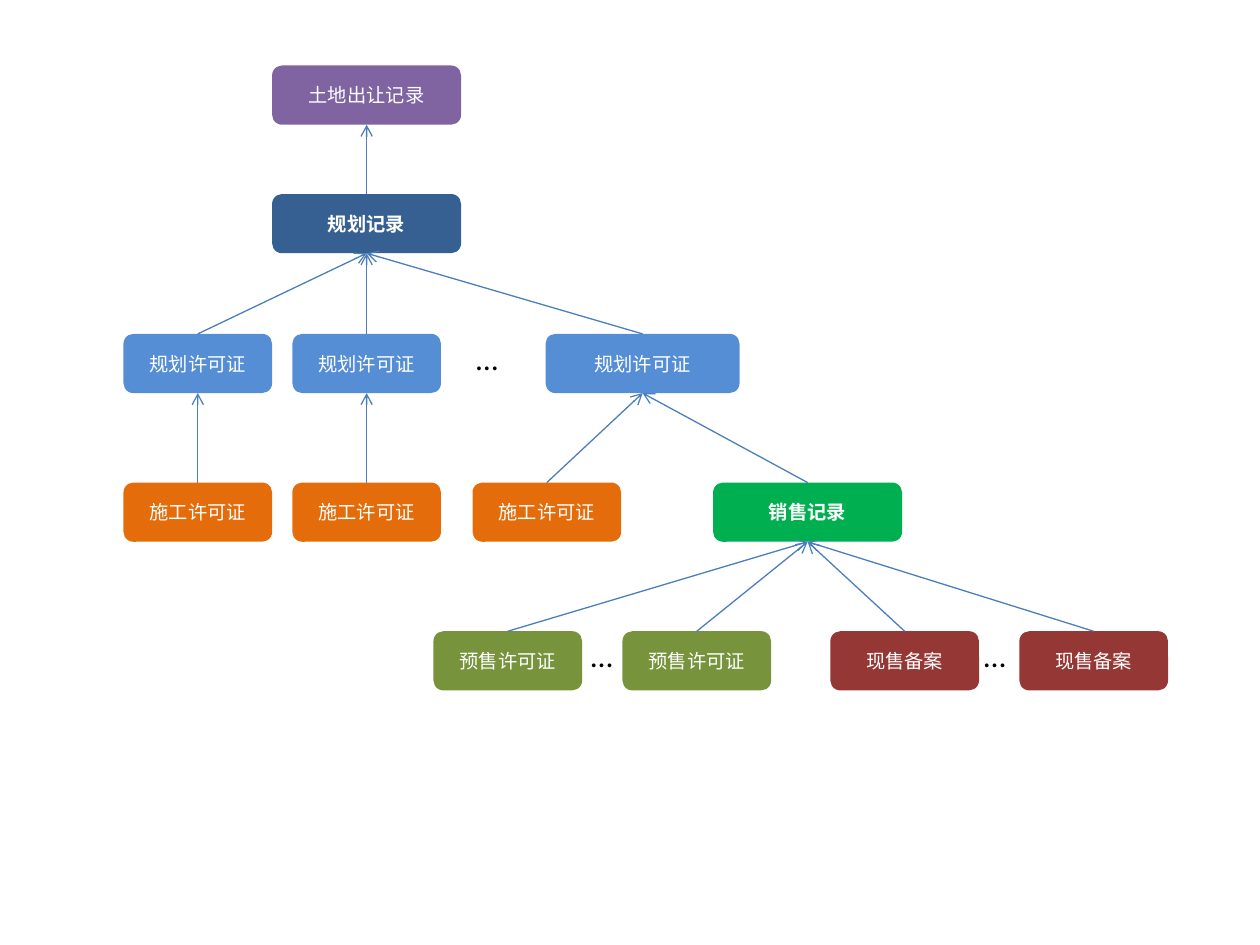
from lxml import etree
from pptx import Presentation
from pptx.dml.color import RGBColor
from pptx.enum.shapes import MSO_CONNECTOR, MSO_SHAPE
from pptx.enum.text import MSO_ANCHOR, MSO_AUTO_SIZE, PP_ALIGN
from pptx.oxml.ns import qn
from pptx.util import Inches, Pt

PURPLE = RGBColor(0x80, 0x64, 0xA2)
NAVY = RGBColor(0x37, 0x60, 0x92)
BLUE = RGBColor(0x55, 0x8E, 0xD5)
ORANGE = RGBColor(0xE4, 0x6C, 0x0A)
GREEN = RGBColor(0x00, 0xB0, 0x50)
OLIVE = RGBColor(0x77, 0x93, 0x3C)
RED = RGBColor(0x95, 0x37, 0x35)
LINE = RGBColor(0x4B, 0x7E, 0xBC)
WHITE = RGBColor(0xFF, 0xFF, 0xFF)
BLACK = RGBColor(0, 0, 0)

BOX_HEIGHT = 0.47
NARROW, WIDE = 1.18, 1.5
LAND_Y, PLAN_Y, PERMIT_Y, BUILD_Y, SALE_Y = 0.52, 1.54, 2.65, 3.83, 5.01
TOP_SITE, BOTTOM_SITE = 0, 2


class Diagram:
    box_font = "Noto Sans CJK SC"
    dots_font = "Calibri"

    def __init__(self, slide):
        self.slide = slide

    def style_run(self, run, font, size, color, bold=False):
        run.font.name = font
        run.font.size = Pt(size)
        run.font.color.rgb = color
        run.font.bold = bold

    def box(self, text, x, y, color, width=NARROW, parent=None, bold=False):
        """Add a rounded box and, if it has a parent, an arrow up to it."""
        shape = self.slide.shapes.add_shape(
            MSO_SHAPE.ROUNDED_RECTANGLE,
            Inches(x), Inches(y), Inches(width), Inches(BOX_HEIGHT))
        shape.shadow.inherit = False
        shape.fill.solid()
        shape.fill.fore_color.rgb = color
        shape.line.fill.background()
        frame = shape.text_frame
        frame.vertical_anchor = MSO_ANCHOR.MIDDLE
        paragraph = frame.paragraphs[0]
        paragraph.alignment = PP_ALIGN.CENTER
        run = paragraph.add_run()
        run.text = text
        self.style_run(run, self.box_font, 11, WHITE, bold)
        # Chinese text takes the East Asian typeface
        etree.SubElement(run.font._element, qn("a:ea"), typeface=self.box_font)
        if parent is not None:
            self.arrow(shape, parent)
        return shape

    def arrow(self, child, parent):
        link = self.slide.shapes.add_connector(MSO_CONNECTOR.STRAIGHT, 0, 0, 0, 0)
        link.begin_connect(child, TOP_SITE)
        link.end_connect(parent, BOTTOM_SITE)
        link.line.color.rgb = LINE
        link.line.width = Pt(0.75)
        etree.SubElement(link.line._get_or_add_ln(), qn("a:tailEnd"), type="arrow")
        etree.SubElement(link._element.spPr, qn("a:effectLst"))

    def dots(self, x, y):
        box = self.slide.shapes.add_textbox(
            Inches(x), Inches(y), Inches(0.38), Inches(0.4))
        box.text_frame.word_wrap = False
        box.text_frame.auto_size = MSO_AUTO_SIZE.SHAPE_TO_FIT_TEXT
        run = box.text_frame.paragraphs[0].add_run()
        run.text = "…"
        self.style_run(run, self.dots_font, 18, BLACK)


prs = Presentation()
prs.slide_width, prs.slide_height = Inches(10), Inches(7.5)
diagram = Diagram(prs.slides.add_slide(prs.slide_layouts[6]))

# Land and planning records
land = diagram.box("土地出让记录", 2.16, LAND_Y, PURPLE, WIDE)
plan = diagram.box("规划记录", 2.16, PLAN_Y, NAVY, WIDE, land, bold=True)

# Planning permits
permits = [diagram.box("规划许可证", x, PERMIT_Y, BLUE, width, plan)
           for x, width in ((0.98, NARROW), (2.32, NARROW), (4.33, 1.54))]

# Construction permits, one under each planning permit
for x, permit in zip((0.98, 2.32, 3.75), permits):
    diagram.box("施工许可证", x, BUILD_Y, ORANGE, parent=permit)

# Sales record with its pre-sale permits and completed-sale filings
sales = diagram.box("销售记录", 5.66, BUILD_Y, GREEN, WIDE, permits[-1], bold=True)
for text, left, color in (("预售许可证", 3.44, OLIVE), ("现售备案", 6.59, RED)):
    for x in (left, left + 1.5):
        diagram.box(text, x, SALE_Y, color, parent=sales)

# Ellipses between repeated boxes
for x, y in ((3.68, 2.64), (4.59, 5), (7.71, 5)):
    diagram.dots(x, y)

prs.save("out.pptx")
